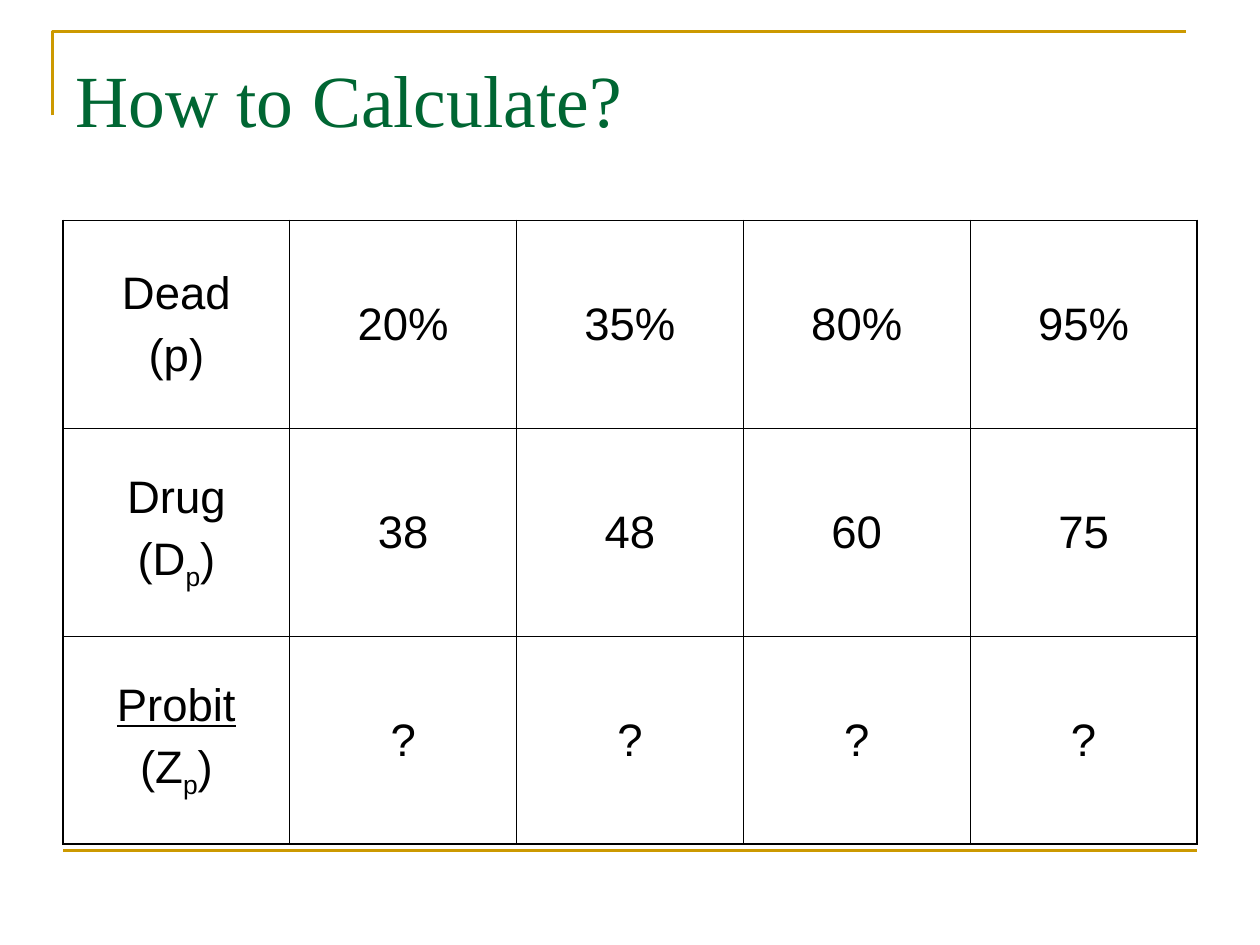
from typing import NamedTuple

from lxml import etree
from pptx import Presentation
from pptx.dml.color import RGBColor
from pptx.enum.shapes import MSO_CONNECTOR
from pptx.enum.text import MSO_ANCHOR, PP_ALIGN
from pptx.oxml.ns import qn
from pptx.util import Pt

STRAIGHT = MSO_CONNECTOR.STRAIGHT
TOP, MIDDLE = MSO_ANCHOR.TOP, MSO_ANCHOR.MIDDLE
LEFT, CENTER = PP_ALIGN.LEFT, PP_ALIGN.CENTER

GOLD, GREEN, BLACK = "CC9900", "006633", "000000"
OUTER, INNER = 1.08, 0.45
COL_W, ROW_H = 129.6, 118.8


class Run(NamedTuple):
    text: str
    underline: bool = False
    subscript: bool = False


def symbol(letter: str) -> list[Run]:
    """Runs for a bracketed letter with the subscript p."""
    return [Run(f"({letter}"), Run("p", subscript=True), Run(")")]


# Each row: paragraphs of the heading cell, then the values.
ROWS = [
    ([[Run("Dead")], [Run("(p)")]], ["20%", "35%", "80%", "95%"]),
    ([[Run("Drug")], symbol("D")], ["38", "48", "60", "75"]),
    ([[Run("Probit", underline=True)], symbol("Z")], ["?"] * 4),
]


def color(value: str) -> RGBColor:
    return RGBColor.from_string(value)


def style_line(s) -> None:
    s.line.color.rgb = color(GOLD)
    s.line.width = Pt(1.5)


def add_run(p, run: Run, name: str, size: float, ink: str) -> None:
    r = p.add_run()
    r.text = run.text
    values = {"name": name, "size": Pt(size)}
    if run.underline:
        values["underline"] = True
    for key, value in values.items():
        setattr(r.font, key, value)
    r.font.color.rgb = color(ink)
    if run.subscript:
        r.font._element.set("baseline", "-25000")


def add_rules(slide) -> None:
    """Corner rule above the title and the rule under the table."""
    builder = slide.shapes.build_freeform(Pt(30), Pt(66))
    builder.add_line_segments([(Pt(30), Pt(18)), (Pt(678), Pt(18))], close=False)
    corner = builder.convert_to_shape()
    corner.shadow.inherit = False
    corner.fill.background()
    style_line(corner)

    base = slide.shapes.add_connector(STRAIGHT, Pt(36), Pt(486), Pt(684), Pt(486))
    style_line(base)
    etree.SubElement(base._element.spPr, qn("a:effectLst"))


def add_title(slide, text: str) -> None:
    tf = slide.shapes.add_textbox(Pt(36), Pt(21.6), Pt(648), Pt(90)).text_frame
    frame = {"word_wrap": True, "vertical_anchor": TOP, "margin_top": Pt(9)}
    for key, value in frame.items():
        setattr(tf, key, value)
    p = tf.paragraphs[0]
    p.alignment = LEFT
    add_run(p, Run(text), "Times New Roman", 42, GREEN)


def set_borders(cell, widths: dict[str, float]) -> None:
    tc_pr = cell._tc.get_or_add_tcPr()
    for side, width in widths.items():
        ln = etree.SubElement(tc_pr, qn(f"a:ln{side}"), w=str(Pt(width)))
        fill = etree.SubElement(ln, qn("a:solidFill"))
        etree.SubElement(fill, qn("a:srgbClr"), val=BLACK)


def fill_cell(cell, paragraphs: list[list[Run]]) -> None:
    cell.vertical_anchor = MIDDLE
    tf = cell.text_frame
    for i, runs in enumerate(paragraphs):
        p = tf.add_paragraph() if i else tf.paragraphs[0]
        p.alignment = CENTER
        if i:
            p.space_before = Pt(6.5)
        for run in runs:
            add_run(p, run, "Arial", 26, BLACK)


def add_probit_table(slide) -> None:
    n_rows, n_cols = len(ROWS), len(ROWS[0][1]) + 1
    table = slide.shapes.add_table(
        n_rows, n_cols, Pt(36), Pt(126), Pt(COL_W * n_cols), Pt(ROW_H * n_rows)
    ).table
    table.first_row = table.horz_banding = False
    for col in table.columns:
        col.width = Pt(COL_W)
    for row in table.rows:
        row.height = Pt(ROW_H)

    for i, (heading, values) in enumerate(ROWS):
        contents = [heading] + [[[Run(value)]] for value in values]
        for j, paragraphs in enumerate(contents):
            cell = table.cell(i, j)
            edges = {"L": j == 0, "R": j == n_cols - 1,
                     "T": i == 0, "B": i == n_rows - 1}
            set_borders(cell, {side: OUTER if edge else INNER
                               for side, edge in edges.items()})
            cell.fill.background()
            fill_cell(cell, paragraphs)


def main() -> None:
    prs = Presentation()
    prs.slide_width, prs.slide_height = Pt(720), Pt(540)
    slide = prs.slides.add_slide(prs.slide_layouts[6])
    add_rules(slide)
    add_title(slide, "How to Calculate?")
    add_probit_table(slide)
    prs.save("out.pptx")


if __name__ == "__main__":
    main()
